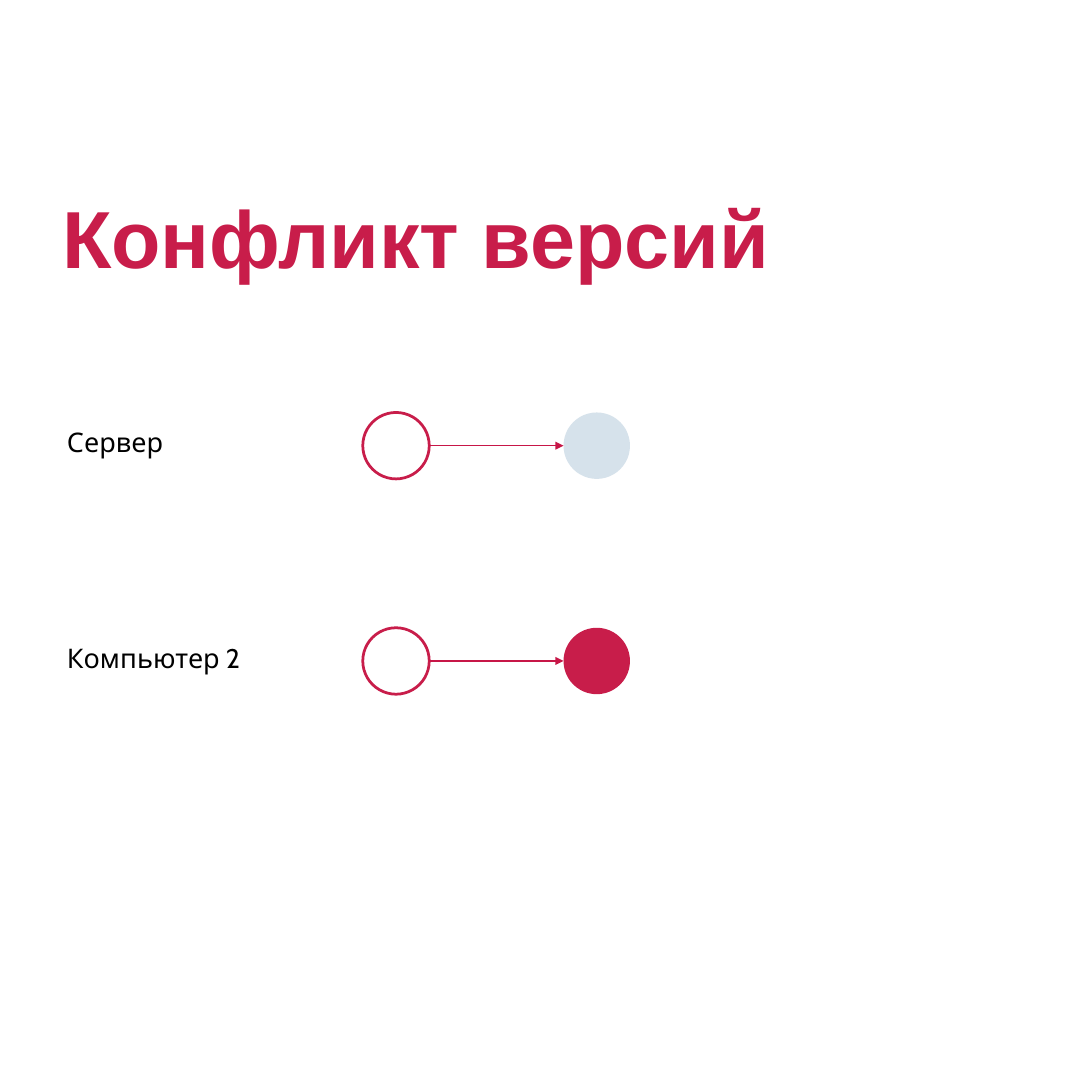
from dataclasses import dataclass

from lxml.etree import SubElement
from pptx import Presentation
from pptx.dml.color import RGBColor
from pptx.enum.shapes import MSO_CONNECTOR as Connector, MSO_SHAPE as Shape
from pptx.enum.text import MSO_ANCHOR as Anchor, MSO_AUTO_SIZE as AutoSize, PP_ALIGN as Align
from pptx.oxml.ns import qn
from pptx.util import Pt


@dataclass(frozen=True)
class Theme:
    crimson: str = "C81D4A"
    arrow: str = "C71647"
    pale_blue: str = "D6E2EB"
    black: str = "000000"
    title_font: str = "Arial"
    label_font: str = "Cabin"
    title_size: float = 60
    label_size: float = 20
    ring_width: float = 2.04
    arrow_width: float = 1


THEME = Theme()
TITLE = "Конфликт версий"
ROWS = [
    {"label": "Сервер", "box": (49.7, 315.4, 76.3, 25.2), "spacing": None, "color": THEME.pale_blue},
    {"label": "Компьютер 2", "box": (49.7, 476.5, 130.3, 23), "spacing": 23.2, "color": THEME.crimson},
]
SLIDE_SIDE = 810
TITLE_BOX = (46.1, 133.9, 529.2, 136.1)
TITLE_INSET = 5
DIAMETER = 49.3
FIRST_LEFT, COMMIT_STEP = 269.1, 148.9
FIRST_CENTER, ROW_STEP = 330.6, 159.7


def points(values):
    return [Pt(value) for value in values]


def write(shape, text, font_name, size, color, bold=False, inset=0, spacing=None):
    frame = shape.text_frame
    frame.word_wrap = True
    frame.auto_size = AutoSize.NONE
    frame.vertical_anchor = Anchor.TOP
    frame.margin_left = frame.margin_right = frame.margin_bottom = 0
    frame.margin_top = Pt(inset)
    frame.text = text
    paragraph = frame.paragraphs[0]
    paragraph.alignment = Align.LEFT
    if spacing:
        paragraph.line_spacing = Pt(spacing)
    font = paragraph.font
    font.name, font.size, font.bold = font_name, Pt(size), bold
    font.color.rgb = RGBColor.from_string(color)


def add_commit(slide, left, center, fill=None):
    box = (left, center - DIAMETER / 2, DIAMETER, DIAMETER)
    circle = slide.shapes.add_shape(Shape.OVAL, *points(box))
    circle.shadow.inherit = False
    if fill:
        circle.fill.solid()
        circle.fill.fore_color.rgb = RGBColor.from_string(fill)
        circle.line.fill.background()
    else:
        circle.fill.background()
        circle.line.color.rgb = RGBColor.from_string(THEME.crimson)
        circle.line.width = Pt(THEME.ring_width)


def add_arrow(slide, start, end, center):
    arrow = slide.shapes.add_connector(Connector.STRAIGHT, *points((start, center, end, center)))
    arrow.line.color.rgb = RGBColor.from_string(THEME.arrow)
    arrow.line.width = Pt(THEME.arrow_width)
    SubElement(arrow.line._get_or_add_ln(), qn("a:tailEnd"), type="triangle")
    SubElement(arrow._element.spPr, qn("a:effectLst"))


def main():
    """Build the version conflict slide and save it."""
    presentation = Presentation()
    presentation.slide_width = presentation.slide_height = Pt(SLIDE_SIDE)
    slide = presentation.slides.add_slide(presentation.slide_layouts.get_by_name("Title Only"))

    title = slide.shapes.title
    title.left, title.top, title.width, title.height = points(TITLE_BOX)
    write(title, TITLE, THEME.title_font, THEME.title_size, THEME.crimson, bold=True, inset=TITLE_INSET)

    second_left = FIRST_LEFT + COMMIT_STEP
    for index, row in enumerate(ROWS):
        center = FIRST_CENTER + index * ROW_STEP
        label = slide.shapes.add_textbox(*points(row["box"]))
        write(label, row["label"], THEME.label_font, THEME.label_size, THEME.black, spacing=row["spacing"])
        add_commit(slide, FIRST_LEFT, center)
        add_commit(slide, second_left, center, row["color"])
        add_arrow(slide, FIRST_LEFT + DIAMETER, second_left, center)

    presentation.save("out.pptx")


if __name__ == "__main__":
    main()
